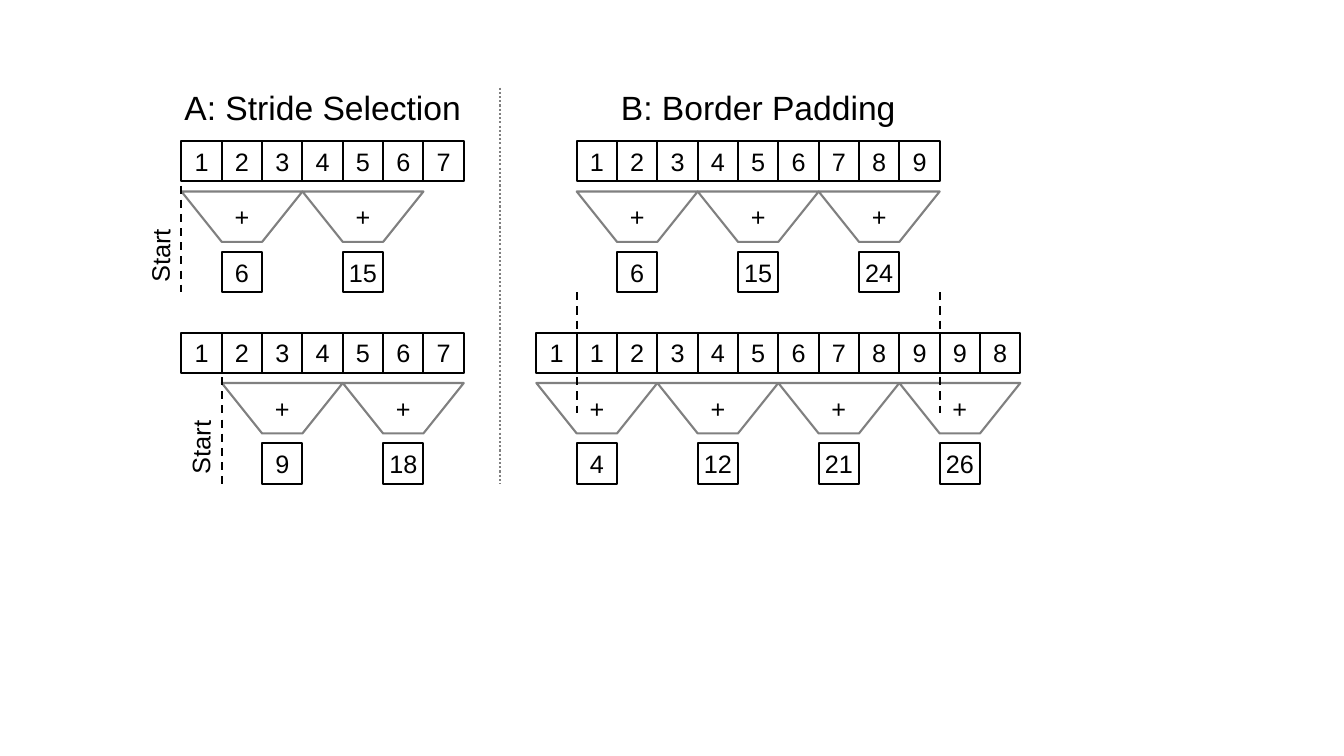
from lxml.etree import SubElement
from pptx import Presentation
from pptx.dml.color import RGBColor
from pptx.enum.dml import MSO_LINE
from pptx.enum.shapes import MSO_CONNECTOR, MSO_SHAPE
from pptx.enum.text import MSO_ANCHOR, MSO_AUTO_SIZE, PP_ALIGN
from pptx.oxml.ns import qn
from pptx.util import Inches, Pt

CELL = 0.4
WINDOW = 3
WINDOW_DROP, WINDOW_HEIGHT, SUM_DROP = 0.5, 0.5, 1.1
HEADING_TOP, TOP_ROW, BOTTOM_ROW = 0.87, 1.4, 3.3
HEADING_WIDTH, LABEL_HEIGHT = 3.18, 0.38
STRIDE_LEFT, PADDING_LEFT = 1.8, 5.72
MARK_LENGTH = 1.2
BLACK, GREY = "000000", "808080"


def color(hex_string):
    return RGBColor.from_string(hex_string)


def write(shape, text, size=18, align=PP_ALIGN.CENTER, wrap=False):
    frame = shape.text_frame
    frame.text = text
    frame.auto_size = MSO_AUTO_SIZE.NONE
    frame.word_wrap = wrap
    frame.vertical_anchor = MSO_ANCHOR.MIDDLE
    paragraph = frame.paragraphs[0]
    paragraph.alignment = align
    paragraph.space_before = Pt(0)
    font = paragraph.runs[0].font
    font.name, font.size, font.bold = "Arial", Pt(size), False
    font.color.rgb = color(BLACK)


def outline(shape, hex_string, width):
    shape.fill.background()
    shape.shadow.inherit = False
    shape.line.color.rgb = color(hex_string)
    shape.line.width = Pt(width)


def add_cell(slide, left, top, value):
    cell = slide.shapes.add_shape(MSO_SHAPE.RECTANGLE, Inches(left), Inches(top),
                                  Inches(CELL), Inches(CELL))
    outline(cell, BLACK, 1.45)
    write(cell, str(value))


def add_window(slide, left, top):
    right, bottom = left + WINDOW * CELL, top + WINDOW_HEIGHT
    builder = slide.shapes.build_freeform(Inches(left), Inches(top), scale=1.0)
    corners = [(right, top), (right - CELL, bottom), (left + CELL, bottom)]
    builder.add_line_segments([(Inches(x), Inches(y)) for x, y in corners])
    window = builder.convert_to_shape()
    outline(window, GREY, 1.5)
    write(window, "+")


def add_rule(slide, x, top, length, hex_string, width, dash):
    rule = slide.shapes.add_connector(MSO_CONNECTOR.STRAIGHT, Inches(x), Inches(top),
                                      Inches(x), Inches(top + length))
    rule.line.color.rgb = color(hex_string)
    rule.line.width = Pt(width)
    rule.line.dash_style = dash
    SubElement(rule._element.spPr, qn("a:effectLst"))


def add_mark(slide, x, top):
    add_rule(slide, x, top, MARK_LENGTH, BLACK, 1.45, MSO_LINE.DASH)


def add_sums(slide, left, top, values, start=0):
    for column, value in enumerate(values):
        add_cell(slide, left + column * CELL, top, value)
    for first in range(start, len(values) - WINDOW + 1, WINDOW):
        window_left = left + first * CELL
        add_window(slide, window_left, top + WINDOW_DROP)
        add_cell(slide, window_left + CELL, top + SUM_DROP,
                 sum(values[first:first + WINDOW]))


def add_start(slide, x, top):
    add_mark(slide, x, top)
    width = 1
    center_x, center_y = x - 0.21, top + MARK_LENGTH - width / 2
    label = slide.shapes.add_textbox(
        Inches(center_x - width / 2), Inches(center_y - LABEL_HEIGHT / 2),
        Inches(width), Inches(LABEL_HEIGHT))
    label.rotation = 270.9
    write(label, "Start", align=PP_ALIGN.LEFT, wrap=True)


def place_heading(heading, text, center):
    heading.left, heading.top = Inches(center - HEADING_WIDTH / 2), Inches(HEADING_TOP)
    heading.width, heading.height = Inches(HEADING_WIDTH), Inches(LABEL_HEIGHT)
    write(heading, text, size=24, wrap=True)


def stride_selection(slide, heading, left):
    values = list(range(1, 8))
    place_heading(heading, "A: Stride Selection", left + len(values) * CELL / 2)
    for start, top in enumerate((TOP_ROW, BOTTOM_ROW)):
        add_sums(slide, left, top, values, start)
        add_start(slide, left + start * CELL, top + 0.3)


def border_padding(slide, heading, left):
    values = list(range(1, 10))
    width = len(values) * CELL
    place_heading(heading, "B: Border Padding", left + width / 2)
    add_sums(slide, left, TOP_ROW, values)
    add_sums(slide, left - CELL, BOTTOM_ROW, values[:1] + values + values[:-3:-1])
    for edge in (left, left + width):
        add_mark(slide, edge, BOTTOM_ROW - CELL)


def main():
    presentation = Presentation()
    presentation.slide_width, presentation.slide_height = Inches(13.33), Inches(7.5)
    slide = presentation.slides.add_slide(presentation.slide_layouts.get_by_name("Comparison"))
    headings = {holder.placeholder_format.idx: holder for holder in slide.placeholders}
    stride_selection(slide, headings.pop(1), STRIDE_LEFT)
    border_padding(slide, headings.pop(3), PADDING_LEFT)
    for unused in headings.values():
        unused._element.getparent().remove(unused._element)
    add_rule(slide, 4.96, HEADING_TOP, BOTTOM_ROW + SUM_DROP + CELL - HEADING_TOP,
             GREY, 1.5, MSO_LINE.ROUND_DOT)
    presentation.save("out.pptx")


if __name__ == "__main__":
    main()
